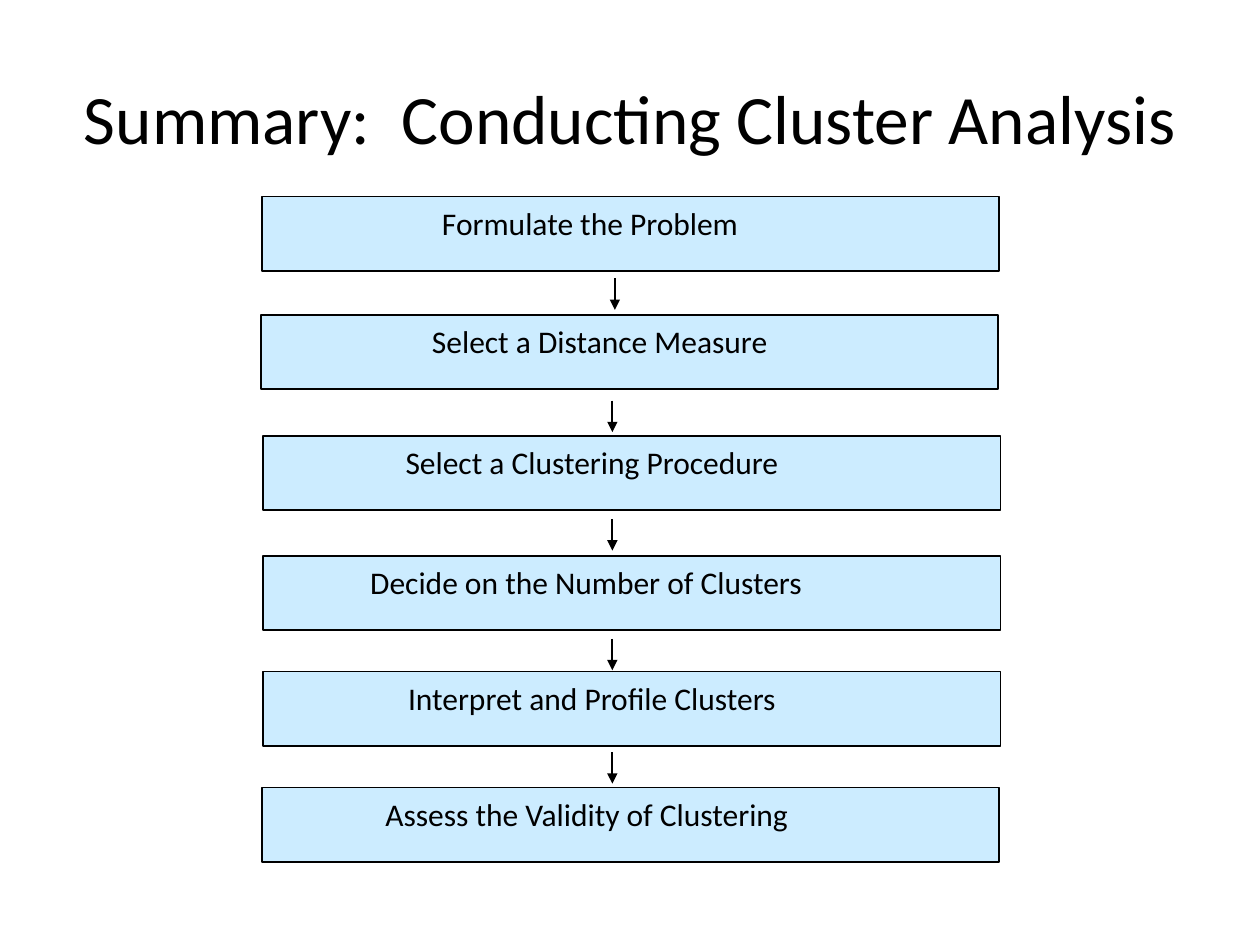
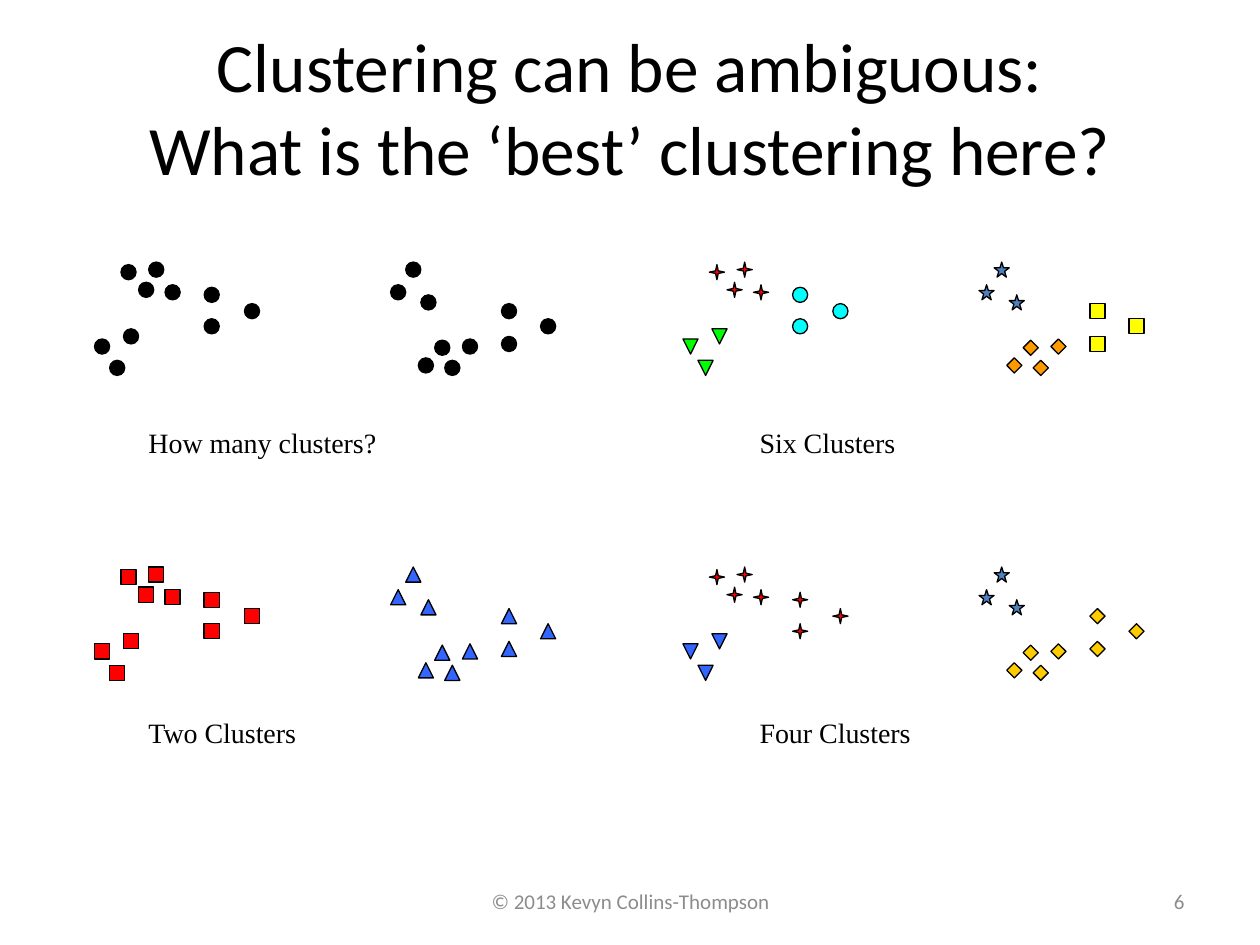
from lxml import etree
from pptx import Presentation
from pptx.dml.color import RGBColor
from pptx.enum.shapes import MSO_CONNECTOR, MSO_SHAPE
from pptx.enum.text import MSO_ANCHOR, MSO_AUTO_SIZE, PP_ALIGN
from pptx.oxml.ns import qn
from pptx.util import Pt

EMU_PER_PX = 9144
SLIDE_WIDTH, SLIDE_HEIGHT = 1000, 750
TITLE_ONLY = 5

BLACK = RGBColor(0x00, 0x00, 0x00)
GREY = RGBColor(0x8C, 0x8C, 0x8C)
PALE_BLUE = RGBColor(0xCC, 0xEC, 0xFF)
RED = RGBColor(0xFF, 0x00, 0x00)
GREEN = RGBColor(0x00, 0xFF, 0x00)
CYAN = RGBColor(0x00, 0xFF, 0xFF)
STEEL = RGBColor(0x4F, 0x81, 0xBD)
BLUE = RGBColor(0x33, 0x66, 0xFF)
ORANGE = RGBColor(0xFF, 0x99, 0x00)
GOLD = RGBColor(0xFF, 0xCC, 0x00)
YELLOW = RGBColor(0xFF, 0xFF, 0x00)

SANS, SERIF = "Calibri", "Times New Roman"
LEFT, CENTER, RIGHT = PP_ALIGN.LEFT, PP_ALIGN.CENTER, PP_ALIGN.RIGHT
TOP, MIDDLE = MSO_ANCHOR.TOP, MSO_ANCHOR.MIDDLE
NO_FIT, GROW = MSO_AUTO_SIZE.NONE, MSO_AUTO_SIZE.SHAPE_TO_FIT_TEXT
STRAIGHT = MSO_CONNECTOR.STRAIGHT
RECTANGLE, CIRCLE = MSO_SHAPE.RECTANGLE, MSO_SHAPE.OVAL
DIAMOND, TRIANGLE = MSO_SHAPE.DIAMOND, MSO_SHAPE.ISOSCELES_TRIANGLE
EXTRACT = MSO_SHAPE.FLOWCHART_EXTRACT
STAR_4, STAR_5 = MSO_SHAPE.STAR_4_POINT, MSO_SHAPE.STAR_5_POINT

STEP_WIDTH, STEP_HEIGHT, ARROW_LENGTH = 585, 59, 25
STEPS = [
    ("Formulate the Problem", 208, 156, 341, 300),
    ("Select a Distance Measure", 207, 250, 333, 341),
    ("Select a Clustering Procedure", 209, 346, 312, 379),
    ("Decide on the Number of Clusters", 209, 441, 284, 434),
    ("Interpret and Profile Clusters", 209, 533, 314, 374),
    ("Assess the Validity of Clustering", 208, 625, 296, 409),
]
ARROW_STARTS = [(488, 221), (486, 318), (486, 412), (486, 507), (486, 597)]

MARKER_SIZE = 12
POINT_GROUPS = [
    [(131, 226), (96, 210), (118, 208), (110, 224)],
    [(98, 261), (75, 269), (87, 286)],
    [(162, 228), (194, 241), (162, 253)],
    [(334, 234), (310, 226), (322, 208)],
    [(367, 269), (332, 284), (353, 286), (345, 270)],
    [(398, 267), (429, 253), (398, 241)],
]
PANEL_STEP_X, PANEL_STEP_Y = 467, 242
BLACK_DOT = (CIRCLE, BLACK, 0)
RED_SQUARE = (RECTANGLE, RED, 0)
BLUE_TRIANGLE = (TRIANGLE, BLUE, 0)
RED_STAR = (STAR_4, RED, 0)
STEEL_STAR = (STAR_5, STEEL, 0)
GOLD_DIAMOND = (DIAMOND, GOLD, 0)
PANELS = [
    ("How many clusters?", 0, 0, 108, 333, [BLACK_DOT] * 6),
    ("Six Clusters", 1, 0, 593, 333,
     [RED_STAR, (TRIANGLE, GREEN, 180), (CIRCLE, CYAN, 0), STEEL_STAR,
      (DIAMOND, ORANGE, 0), (RECTANGLE, YELLOW, 0)]),
    ("Two Clusters", 0, 1, 108, 563, [RED_SQUARE] * 3 + [BLUE_TRIANGLE] * 3),
    ("Four Clusters", 1, 1, 593, 563,
     [RED_STAR, (EXTRACT, BLUE, 180), RED_STAR, STEEL_STAR,
      GOLD_DIAMOND, GOLD_DIAMOND]),
]


def px(*lengths):
    return [length * EMU_PER_PX for length in lengths]


def style_paragraph(paragraph, font_name, size, color, alignment):
    paragraph.alignment = alignment
    paragraph.font.name = font_name
    paragraph.font.size = Pt(size)
    paragraph.font.color.rgb = color


def add_titled_slide(presentation, text, top):
    slide = presentation.slides.add_slide(presentation.slide_layouts[TITLE_ONLY])
    title = slide.shapes.title
    title.left, title.top, title.width, title.height = px(50, top, 900, 125)
    frame = title.text_frame
    frame.text = text
    frame.auto_size = NO_FIT
    frame.vertical_anchor = MIDDLE
    style_paragraph(frame.paragraphs[0], SANS, 39.6, BLACK, CENTER)
    return slide


def add_text(shapes, text, box, font_name, size, color=BLACK, alignment=LEFT,
             anchor=TOP, wrap=True, fit=GROW):
    frame = shapes.add_textbox(*px(*box)).text_frame
    frame.text = text
    frame.word_wrap = wrap
    frame.auto_size = fit
    frame.vertical_anchor = anchor
    style_paragraph(frame.paragraphs[0], font_name, size, color, alignment)


def add_filled_shape(shapes, kind, box, fill, line_width):
    shape = shapes.add_shape(kind, *px(*box))
    shape.shadow.inherit = False
    shape.fill.solid()
    shape.fill.fore_color.rgb = fill
    shape.line.color.rgb = BLACK
    shape.line.width = Pt(line_width)
    return shape


def add_down_arrow(shapes, left, top):
    arrow = shapes.add_connector(
        STRAIGHT, *px(left, top, left, top + ARROW_LENGTH))
    arrow.line.color.rgb = BLACK
    arrow.line.width = Pt(1)
    etree.SubElement(arrow.line._get_or_add_ln(), qn("a:tailEnd"), type="triangle")
    etree.SubElement(arrow._element.spPr, qn("a:effectLst"))


def add_step(shapes, text, left, top, label_left, label_width):
    add_filled_shape(shapes, RECTANGLE, (left, top, STEP_WIDTH, STEP_HEIGHT),
                     PALE_BLUE, 1)
    add_text(shapes, text, (label_left, top + 1, label_width, 43), SANS, 18,
             wrap=False)


def add_panel(shapes, caption, column, row, caption_left, caption_top, markers):
    for points, (kind, fill, rotation) in zip(POINT_GROUPS, markers):
        for x, y in points:
            box = (x + column * PANEL_STEP_X, y + row * PANEL_STEP_Y,
                   MARKER_SIZE, MARKER_SIZE)
            add_filled_shape(shapes, kind, box, fill, 0.75).rotation = rotation
    add_text(shapes, caption, (caption_left, caption_top, 250, 37), SERIF, 16)


def add_footer(shapes, text, left, width, alignment):
    add_text(shapes, text, (left, 695, width, 40), SANS, 12, GREY, alignment,
             MIDDLE, fit=NO_FIT)


def build_summary_slide(presentation):
    slide = add_titled_slide(
        presentation, "Summary:  Conducting Cluster Analysis", 30)
    for step in STEPS:
        add_step(slide.shapes.add_group_shape().shapes, *step)
    for left, top in ARROW_STARTS:
        add_down_arrow(slide.shapes, left, top)


def build_ambiguity_slide(presentation):
    slide = add_titled_slide(
        presentation,
        "Clustering can be ambiguous:\vWhat is the ‘best’ clustering here?", 22)
    add_footer(slide.shapes, "© 2013 Kevyn Collins-Thompson", 342, 317, CENTER)
    add_footer(slide.shapes, "6", 717, 233, RIGHT)
    for panel in PANELS:
        add_panel(slide.shapes.add_group_shape().shapes, *panel)


def main():
    presentation = Presentation()
    presentation.slide_width, presentation.slide_height = px(
        SLIDE_WIDTH, SLIDE_HEIGHT)
    build_summary_slide(presentation)
    build_ambiguity_slide(presentation)
    presentation.save("out.pptx")


if __name__ == "__main__":
    main()
